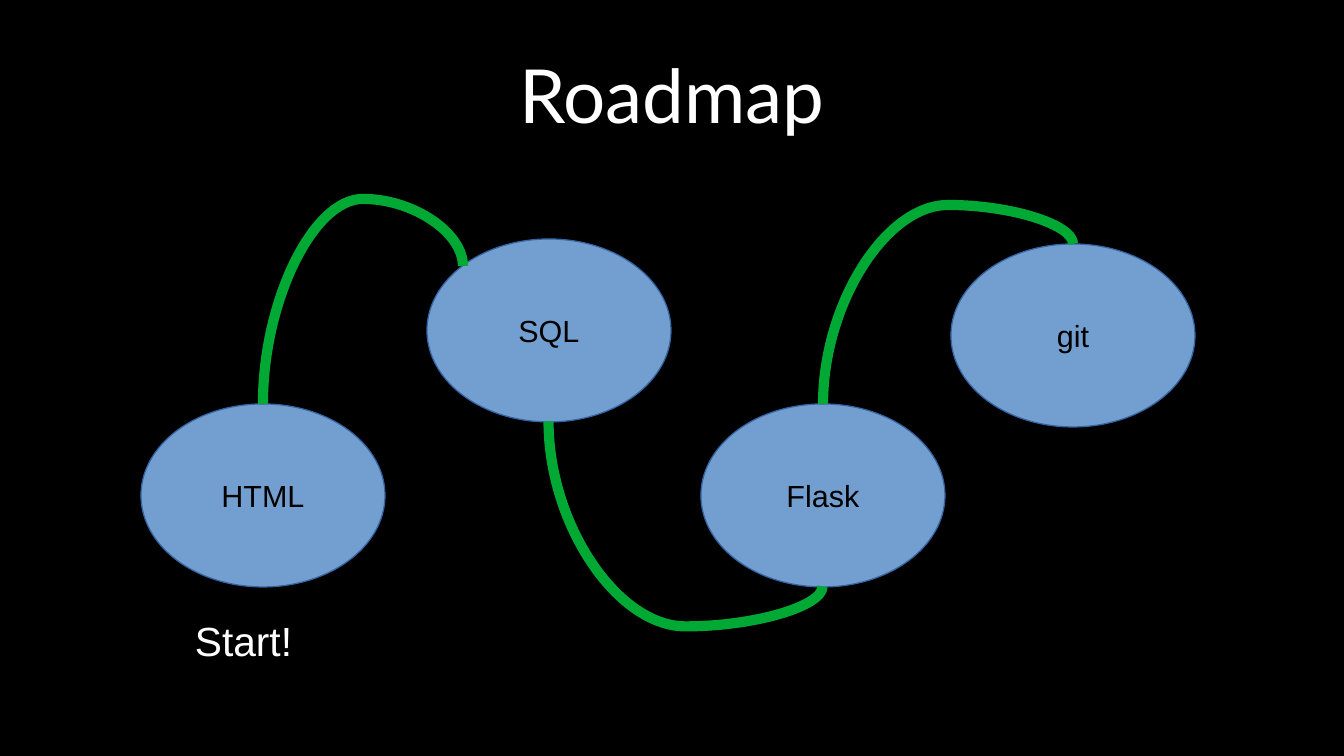
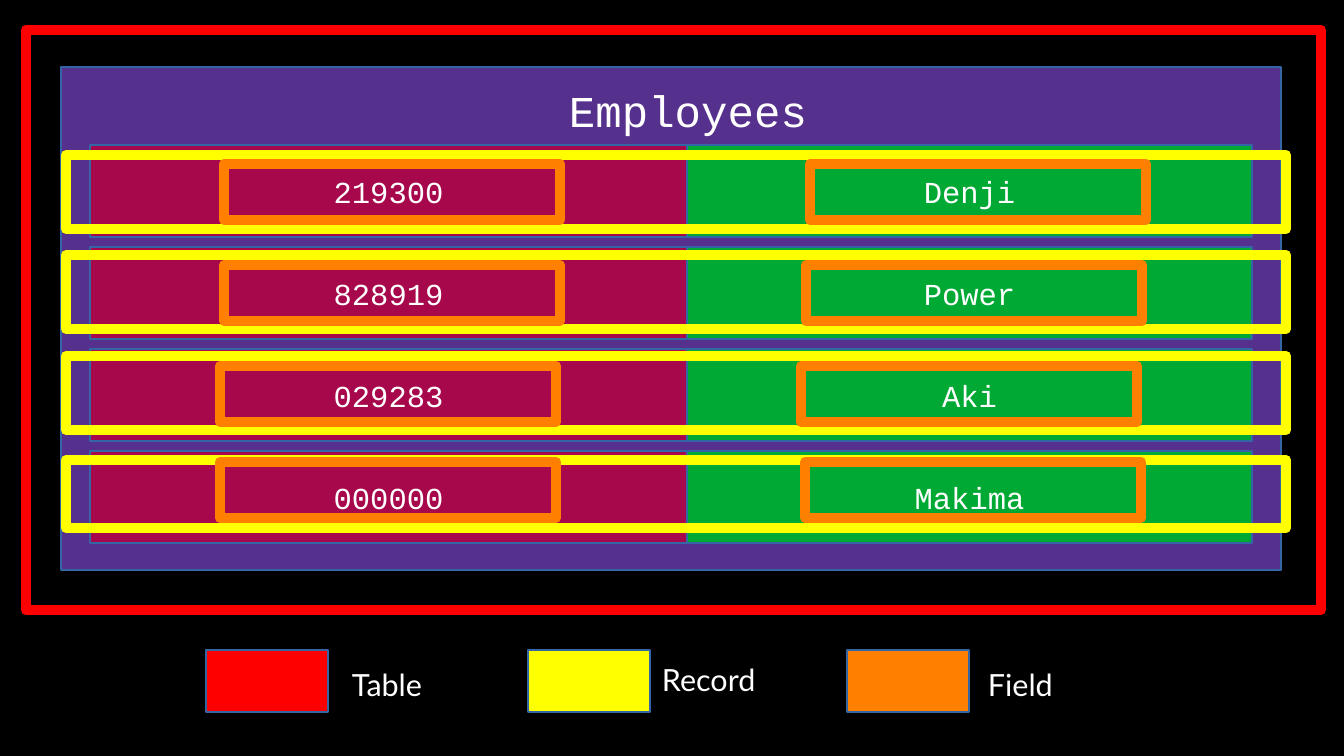
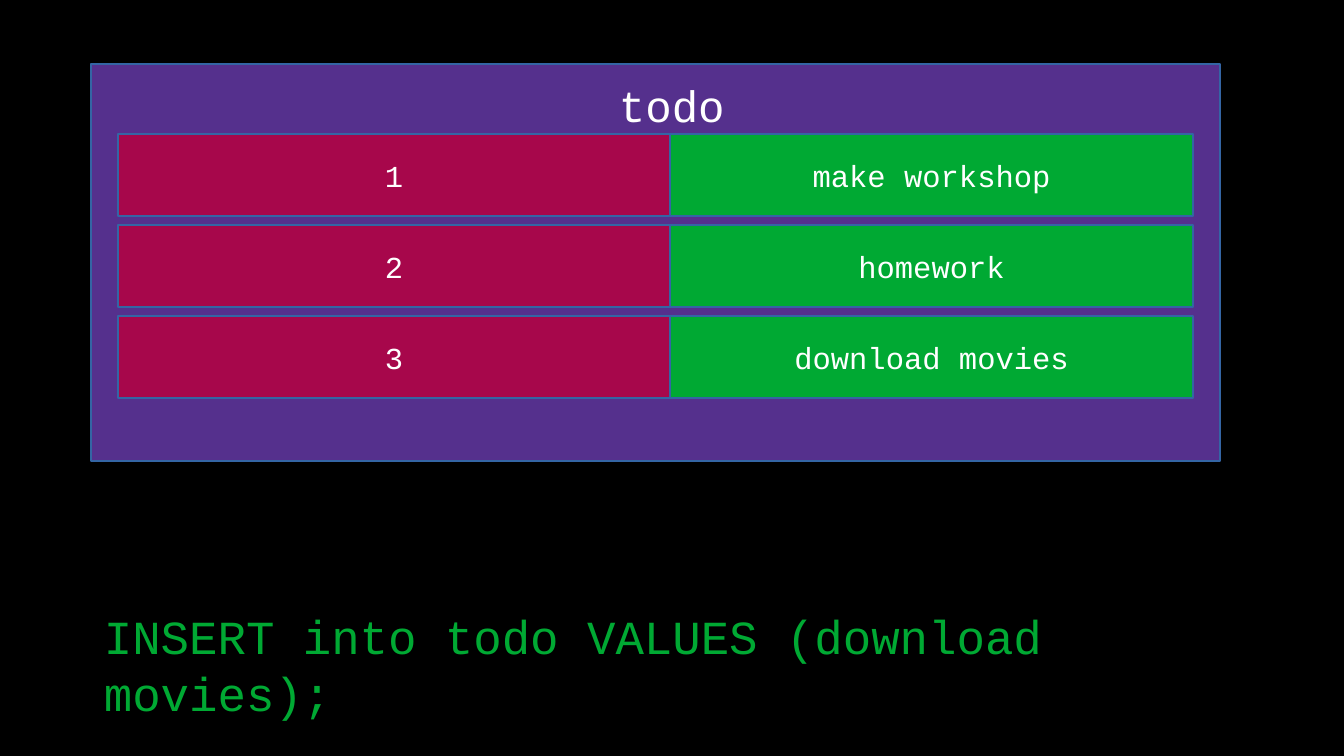
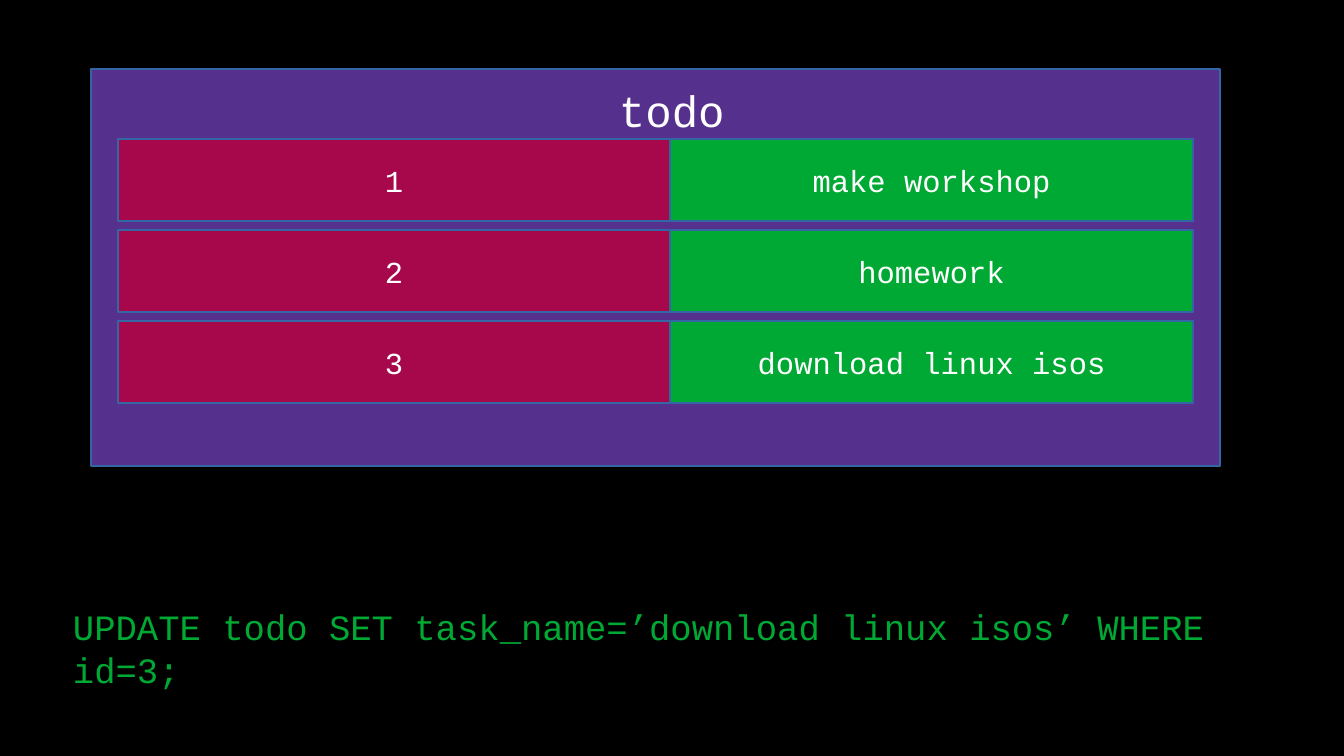
import dataclasses
import typing

import lxml.etree
import pptx
import pptx.dml.color
import pptx.enum.shapes
import pptx.enum.text
import pptx.oxml.ns
import pptx.util

SCALE = 914400 // 122  # EMU in one px
WIDE, HIGH = 1344, 756

KIND = pptx.enum.shapes.MSO_SHAPE
ALIGN = pptx.enum.text.PP_ALIGN
ANCHOR = pptx.enum.text.MSO_ANCHOR
Page = typing.Any
Shape = typing.Any


@dataclasses.dataclass(frozen=True)
class Theme:
    back: str = "000000"
    light: str = "FFFFFF"
    dark: str = "000000"
    edge: str = "3465A4"
    oval: str = "729FCF"
    panel: str = "55308D"
    key: str = "A7074B"
    green: str = "00A933"
    table: str = "FF0000"
    record: str = "FFFF00"
    field: str = "FF8000"
    head: str = "Lato"
    sans: str = "Arial"
    mono: str = "Courier New"
    title: int = 44
    code: int = 28
    name: int = 26
    note: int = 24
    small: int = 21
    body: int = 18
    thick: int = 6


THEME = Theme()


class Box(typing.NamedTuple):
    left: int
    top: int
    width: int
    height: int


class Stop(typing.NamedTuple):
    text: str
    left: int
    top: int


class Path(typing.NamedTuple):
    """A curve from one stop to the next, bulging out to a level."""
    start: int
    start_site: int
    begin: tuple[int, int]
    finish_site: int
    end: tuple[int, int]
    level: int


class Mark(typing.NamedTuple):
    """Frames around one record and its two fields."""
    top: int
    height: int
    field_top: int
    id_left: int
    name_left: int


class Entry(typing.NamedTuple):
    text: str
    color: str
    left: int
    label_left: int
    label_top: int


@dataclasses.dataclass(frozen=True)
class Sheet:
    """A named panel with rows of a key cell and a value cell."""
    name: str
    box: Box
    name_box: Box
    inset: int
    first: int
    pitch: int
    row: int
    widths: tuple[int, int]
    rows: tuple[tuple[str, str], ...]


# Helpers

def px(count: int) -> int:
    return pptx.util.Emu(count * SCALE)


def place(box: Box) -> list[int]:
    return [px(side) for side in box]


def rgb(color: str) -> pptx.dml.color.RGBColor:
    return pptx.dml.color.RGBColor.from_string(color)


def write(shape: Shape, text: str, *, size: int, font: str,
          color: str = THEME.light, align: typing.Any = ALIGN.LEFT,
          anchor: typing.Any = ANCHOR.TOP) -> None:
    frame = shape.text_frame
    frame.word_wrap = True
    frame.vertical_anchor = anchor
    line = frame.paragraphs[0]
    line.alignment = align
    run = line.add_run()
    run.text = text
    run.font.size = pptx.util.Pt(size)
    run.font.name = font
    run.font.color.rgb = rgb(color)


def label(page: Page, box: Box, text: str, **style: typing.Any) -> Shape:
    shape = page.shapes.add_textbox(*place(box))
    write(shape, text, **style)
    return shape


def block(page: Page, box: Box, fill: str,
          kind: typing.Any = KIND.RECTANGLE) -> Shape:
    shape = page.shapes.add_shape(kind, *place(box))
    shape.shadow.inherit = False
    shape.fill.solid()
    shape.fill.fore_color.rgb = rgb(fill)
    shape.line.color.rgb = rgb(THEME.edge)
    shape.line.width = 0
    return shape


def frame(page: Page, box: Box, color: str) -> None:
    shape = block(page, box, color)
    shape.fill.background()
    shape.line.color.rgb = rgb(color)
    shape.line.width = pptx.util.Pt(THEME.thick)
    lxml.etree.SubElement(shape.line._get_or_add_ln(),
                          pptx.oxml.ns.qn("a:round"))


def curve(page: Page, path: Path, ovals: list[Shape]) -> None:
    (x1, y1), (x2, y2) = path.begin, path.end
    across, down = abs(x2 - x1), abs(y2 - y1)
    rises = y2 < y1
    line = page.shapes.add_connector(
        pptx.enum.shapes.MSO_CONNECTOR.CURVE, 0, 0, 0, 0)
    line.line.color.rgb = rgb(THEME.green)
    line.line.width = pptx.util.Pt(THEME.thick)
    qn = pptx.oxml.ns.qn
    props = line._element.spPr
    lxml.etree.SubElement(props, qn("a:effectLst"))

    # The box is laid flat, then turned a quarter
    line.left, line.top = px((x1 + x2 - down) // 2), px((y1 + y2 - across) // 2)
    line.width, line.height = px(down), px(across)
    turn = props.find(qn("a:xfrm"))
    turn.set("rot", str((90 if rises else 270) * 60000))
    turn.set("flipH", "1")
    turn.set("flipV", "1" if rises else "0")
    bulge = round((path.level - y1) / (y2 - y1) * 100000)
    guides = props.find(qn("a:prstGeom")).get_or_add_avLst()
    lxml.etree.SubElement(guides, qn("a:gd"), name="adj1", fmla=f"val {bulge}")

    # Glue both ends to their ovals
    glue = line._element.nvCxnSpPr.cNvCxnSpPr
    ends = (("a:stCxn", path.start, path.start_site),
            ("a:endCxn", path.start + 1, path.finish_site))
    for tag, stop, site in ends:
        lxml.etree.SubElement(glue, qn(tag), id=str(ovals[stop].shape_id),
                              idx=str(site))


def grid(page: Page, sheet: Sheet) -> None:
    block(page, sheet.box, THEME.panel)
    for index, row in enumerate(sheet.rows):
        left = sheet.box.left + sheet.inset
        top = sheet.first + index * sheet.pitch
        for text, width, fill in zip(row, sheet.widths,
                                     (THEME.key, THEME.green)):
            cell = block(page, Box(left, top, width, sheet.row), fill)
            write(cell, text, size=THEME.body, font=THEME.mono,
                  align=ALIGN.CENTER, anchor=ANCHOR.MIDDLE)
            left += width
    label(page, sheet.name_box, sheet.name, size=THEME.name, font=THEME.mono)


# Slides

def roadmap(page: Page) -> None:
    title = label(page, Box(67, 30, 1210, 127), "Roadmap", size=THEME.title,
                  font=THEME.head, align=ALIGN.CENTER, anchor=ANCHOR.MIDDLE)
    text = title.text_frame
    text.margin_left = text.margin_right = 0
    text.margin_top = text.margin_bottom = 0
    stops = (Stop("HTML", 141, 404), Stop("SQL", 427, 239),
             Stop("Flask", 701, 404), Stop("git", 951, 244))
    ovals = []
    for stop in stops:
        oval = block(page, Box(stop.left, stop.top, 244, 183), THEME.oval,
                     KIND.OVAL)
        write(oval, stop.text, size=THEME.body, font=THEME.sans,
              color=THEME.dark, align=ALIGN.CENTER, anchor=ANCHOR.MIDDLE)
        ovals.append(oval)
    paths = (Path(0, 0, (263, 404), 1, (463, 266), 199),
             Path(1, 4, (549, 422), 4, (823, 587), 627),
             Path(2, 0, (823, 404), 0, (1073, 244), 205))
    for path in paths:
        curve(page, path, ovals)
    label(page, Box(183, 610, 244, 92), "Start!", size=THEME.note,
          font=THEME.sans)


def staff(page: Page) -> None:
    grid(page, Sheet(
        "Employees", Box(61, 67, 1220, 503), Box(557, 77, 274, 72),
        inset=29, first=145, pitch=102, row=92, widths=(597, 565),
        rows=(("219300", "Denji"), ("828919", "Power"),
              ("029283", "Aki"), ("000000", "Makima"))))

    # Frames: table, then records, then fields
    frame(page, Box(26, 30, 1295, 580), THEME.table)
    marks = (Mark(155, 74, 164, 224, 810), Mark(255, 74, 265, 224, 806),
             Mark(356, 74, 366, 220, 801), Mark(460, 68, 462, 220, 805))
    for mark in marks:
        frame(page, Box(66, mark.top, 1220, mark.height), THEME.record)
    for mark in marks:
        for left in (mark.id_left, mark.name_left):
            frame(page, Box(left, mark.field_top, 336, 56), THEME.field)

    # Legend
    for entry in (Entry("Table", THEME.table, 206, 340, 660),
                  Entry("Record", THEME.record, 528, 650, 655),
                  Entry("Field", THEME.field, 847, 976, 660)):
        block(page, Box(entry.left, 650, 122, 62), entry.color)
        label(page, Box(entry.label_left, entry.label_top, 249, 61),
              entry.text, size=THEME.body, font=THEME.head)


def todo(page: Page, top: int, last: str, code: str, box: Box,
         size: int) -> None:
    grid(page, Sheet(
        "todo", Box(91, top, 1129, 397), Box(607, top + 8, 151, 72),
        inset=27, first=top + 70, pitch=91, row=82, widths=(552, 523),
        rows=(("1", "make workshop"), ("2", "homework"), ("3", last))))
    label(page, box, code, size=size, font=THEME.mono, color=THEME.green)


def main() -> None:
    deck = pptx.Presentation()
    deck.slide_width, deck.slide_height = px(WIDE), px(HIGH)
    back = deck.slide_master.background.fill
    back.solid()
    back.fore_color.rgb = rgb(THEME.back)
    blank = deck.slide_layouts[6]
    pages = [deck.slides.add_slide(blank) for _ in range(4)]

    roadmap(pages[0])
    staff(pages[1])
    todo(pages[2], 64, "download movies",
         "INSERT into todo VALUES (download movies);",
         Box(92, 601, 1159, 153), THEME.code)
    todo(pages[3], 69, "download linux isos",
         "UPDATE todo SET task_name=’download linux isos’ WHERE id=3;",
         Box(61, 599, 1220, 153), THEME.small)
    deck.save("out.pptx")


if __name__ == "__main__":
    main()
